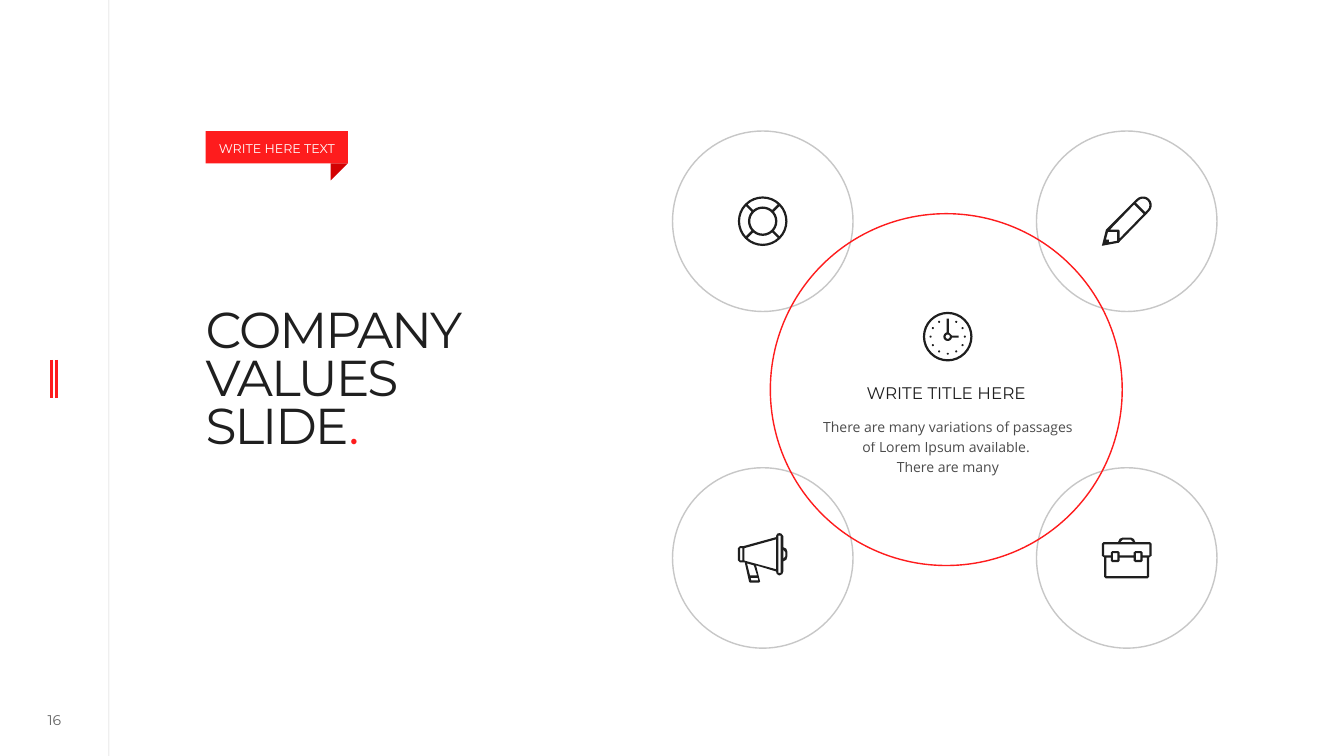
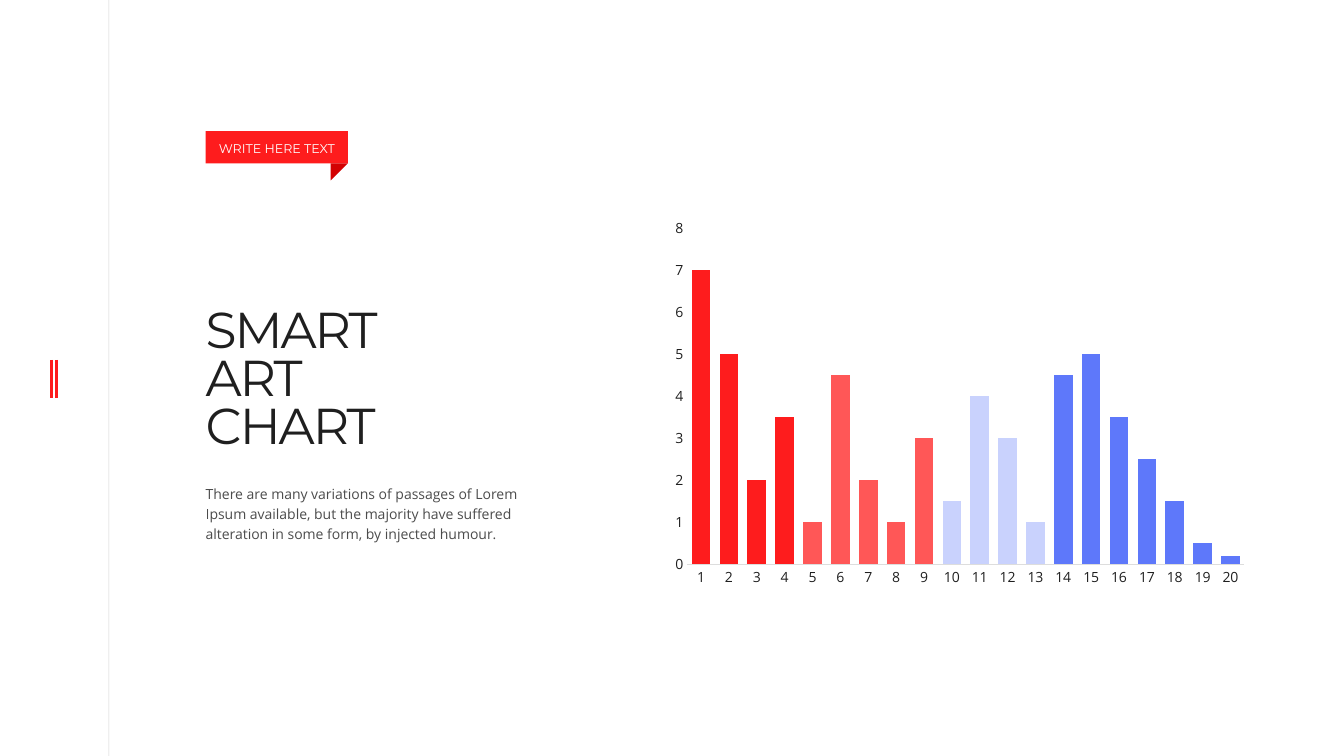
from math import cos, radians, sin

from lxml import etree
from pptx import Presentation
from pptx.chart.data import CategoryChartData
from pptx.dml.color import RGBColor
from pptx.enum.chart import XL_CHART_TYPE, XL_TICK_MARK
from pptx.enum.shapes import MSO_CONNECTOR, MSO_SHAPE
from pptx.enum.text import MSO_ANCHOR, PP_ALIGN
from pptx.oxml.ns import qn
from pptx.util import Inches, Pt

RECT, OVAL, CORNER = MSO_SHAPE.RECTANGLE, MSO_SHAPE.OVAL, MSO_SHAPE.RIGHT_TRIANGLE
LEFT, CENTER = PP_ALIGN.LEFT, PP_ALIGN.CENTER
TOP, MIDDLE = MSO_ANCHOR.TOP, MSO_ANCHOR.MIDDLE
STRAIGHT, NO_TICK = MSO_CONNECTOR.STRAIGHT, XL_TICK_MARK.NONE

COLORS = {
    "ink": "1F1F1F", "red": "FE1C1D", "fold": "D30102", "ring": "C7C7C7",
    "white": "FFFFFF", "axis": "DDDDDD", "coral": "FF5757",
    "pale blue": "C9D2FD", "blue": "5E78FA",
}
HEADING, BODY = "Montserrat", "Open Sans"

# Content
TAG = "WRITE HERE TEXT"
VALUES_TITLE = "COMPANY\nVALUES\nSLIDE"
VALUES_NUMBER = "16"
CENTER_TITLE = "WRITE TITLE HERE"
CENTER_TEXT = [
    "There are many variations of passages of Lorem Ipsum available. ",
    "There are many",
]
CHART_TITLE = "SMART\nART\nCHART"
CHART_TEXT = ("There are many variations of passages of Lorem Ipsum available, "
              "but the majority have suffered alteration in some form, "
              "by injected humour.")
BAR_GROUPS = [
    ("red", [7, 5, 2, 3.5]),
    ("coral", [1, 4.5, 2, 1, 3]),
    ("pale blue", [1.5, 4, 3, 1]),
    ("blue", [4.5, 5, 3.5, 2.5, 1.5, 0.5, 0.2]),
]

# Icons: closed contours in hundredths of an inch; inner contours cut holes
MID = 24.6


def arc(radius, start, end, steps, center=(MID, MID)):
    turns = [radians(start + (end - start) * i / steps) for i in range(steps + 1)]
    return [(center[0] + radius * cos(t), center[1] + radius * sin(t)) for t in turns]


def circle(radius, steps=32, center=(MID, MID)):
    return arc(radius, 0, 360, steps, center)[:-1]


def mirrored(points):
    return points + [(2 * MID - x, y) for x, y in reversed(points)]


LIFEBUOY = [circle(24.6), circle(12.3)] + [
    arc(22.4, side + 3, side + 87, 8) + arc(14.6, side + 85.5, side + 4.5, 6)
    for side in (45, 135, 225, 315)]
CAP = (40.7, 8.7)
PENCIL = [
    arc(8.7, -135, 45, 10, CAP) + [(16.5, 46), (0, 49), (4, 33)],
    arc(6.5, -135, 45, 8, CAP) + [(43, 15.7), (33.7, 6.4)],
    [(17.5, 41.8), (17.5, 34), (16.5, 33), (8, 33), (32, 8), (41.4, 17.4)],
    [(15.2, 44), (7, 45.5), (7, 43), (4, 43), (6, 35.2), (15.2, 35.2)],
]
MEGAPHONE = [
    [(45, 14), (45, 3), (43, 0.4), (41, 0), (39, 0.6), (37.8, 3), (37.8, 4),
     (5, 13), (2, 13), (0, 15), (0, 27), (2, 29), (6.8, 29), (11, 48), (12, 49),
     (21, 49), (22, 48), (18, 32), (37.8, 38), (38.5, 40.5), (41, 42),
     (44, 40.7), (45, 38), (45, 28), (48, 26.5), (49, 23), (49, 18.5), (48, 15.5)],
    [(45, 25.5), (47, 23), (47, 19), (45, 16.2)],
    [(42.3, 39.5), (40, 39.5), (40, 2.5), (42.3, 2.5)],
    [(37.8, 35.8), (6.5, 27.3), (6.5, 14.9), (37.8, 6.2)],
    [(19, 42), (12, 42), (9, 30), (15.8, 32)],
    [(20.2, 46.8), (13.2, 46.8), (12.6, 44.3), (19.6, 44.3)],
    [(4.3, 27), (2.2, 27), (2.2, 15), (4.3, 15)],
]
CLASP = [(11, 20), (15.5, 20), (15.5, 26.7), (11, 26.7)]
BRIEFCASE = [
    mirrored([(20.5, 4.4), (17.5, 5.8), (16, 9), (1.5, 9), (0, 10.5), (0, 22.5),
              (2.3, 24.2), (2.3, 43.3), (3.8, 44.8)]),
    mirrored([(20.5, 6.6), (18.2, 9)]),
    mirrored([(2.2, 11.2), (2.2, 22.2), (8.8, 22.2), (8.8, 19.3), (10.3, 17.8),
              (16, 17.8), (17.7, 19.3), (17.7, 22.2)]),
    mirrored([(4.5, 42.6), (4.5, 24.4), (8.8, 24.4), (8.8, 27.4), (10.3, 28.9),
              (16, 28.9), (17.7, 27.4), (17.7, 24.4)]),
    CLASP, [(2 * MID - x, y) for x, y in CLASP],
]
# The hour hand covers the mark at twelve
HANDS = [(23.5, 6.8), (25.7, 6.8), (25.7, 20.5), (28.7, 23.5), (35.5, 23.5),
         (35.5, 25.7), (28.7, 25.7)] + arc(4.3, 20, 255, 12)
CLOCK = [circle(24.6), circle(22.4), HANDS, circle(2.2, 10)] + [
    circle(1.1, 6, mark) for mark in arc(17, -60, 240, 10)]

SMALL, LARGE = 1.79, 3.49
RING_LEFTS, RING_TOPS = (6.67, 10.28), (1.3, 4.64)
RING_ICONS = [(LIFEBUOY, PENCIL), (MEGAPHONE, BRIEFCASE)]


def paint(color, name, opacity=100):
    color.rgb = RGBColor.from_string(COLORS[name])
    return opacity


def fade(element, opacity):
    """Make the solid colours inside an element partly transparent."""
    if opacity < 100:
        for value in element.iter(qn("a:srgbClr")):
            etree.SubElement(value, qn("a:alpha")).set("val", str(opacity * 1000))


def style(shape, fill=None, line=None):
    shape.shadow.inherit = False
    if fill:
        shape.fill.solid()
        paint(shape.fill.fore_color, fill)
    else:
        shape.fill.background()
    if line:
        paint(shape.line.color, line)
        shape.line.width = Pt(1)
    else:
        shape.line.fill.background()


def add_shape(slide, preset, box, **look):
    shape = slide.shapes.add_shape(preset, *map(Inches, box))
    style(shape, **look)
    return shape


def add_line(slide, start, end, color, width, opacity=100):
    line = slide.shapes.add_connector(STRAIGHT, *map(Inches, start + end))
    paint(line.line.color, color)
    line.line.width = Pt(width)
    fade(line._element.spPr, opacity)
    etree.SubElement(line._element.spPr, qn("a:effectLst"))


def set_font(font, name, size, color, opacity=100):
    font.name, font.size = name, Pt(size)
    paint(font.color, color)
    fade(font._element, opacity)


def fill_text(shape, texts, *font, align=LEFT, spacing=None,
              top=0.05, bottom=0.05, anchor=TOP):
    frame = shape.text_frame
    frame.word_wrap = True
    frame.vertical_anchor = anchor
    frame.margin_left = frame.margin_right = 0
    frame.margin_top, frame.margin_bottom = Inches(top), Inches(bottom)
    for index, text in enumerate(texts):
        paragraph = frame.add_paragraph() if index else frame.paragraphs[0]
        paragraph.text = text
        paragraph.alignment = align
        paragraph.line_spacing = spacing
        set_font(paragraph.font, *font)
    return frame


def add_text(slide, box, texts, *font, **layout):
    return fill_text(slide.shapes.add_textbox(*map(Inches, box)), texts, *font, **layout)


def add_icon(slide, contours, center_x, center_y):
    left, top = (center - MID / 100 for center in (center_x, center_y))
    builder = None
    for contour in contours:
        points = [(Inches(left + x / 100), Inches(top + y / 100)) for x, y in contour]
        if builder is None:
            builder = slide.shapes.build_freeform(*points[0])
        else:
            builder.move_to(*points[0])
        builder.add_line_segments(points[1:], close=True)
    style(builder.convert_to_shape(), fill="ink")


def add_base(prs, title, stop=None):
    """Blank slide with the side rule, red bars, tag and title."""
    slide = prs.slides.add_slide(prs.slide_layouts[6])
    add_line(slide, (1.08, 0), (1.08, 7.5), "ink", 0.5, 20)
    for x in (0.51, 0.56):
        add_line(slide, (x, 3.57), (x, 3.95), "red", 2)
    frame = add_text(slide, (2.04, 2.86, 4.62, 1.77), [title], HEADING, 36, "ink",
                     spacing=0.8, top=0.21, bottom=0)
    heading = frame.paragraphs[0]
    if stop:
        run = heading.add_run()
        run.text = stop
        paint(run.font.color, "red")
    for run in heading.runs:
        run.font._element.set("spc", "-150")
    tag = add_shape(slide, RECT, (2.04, 1.3, 1.41, 0.32), fill="red")
    fill_text(tag, [TAG], HEADING, 9, "white", align=CENTER, top=0.07, anchor=MIDDLE)
    add_shape(slide, CORNER, (3.28, 1.62, 0.17, 0.17), fill="fold").rotation = 90
    return slide


def build_values(prs):
    slide = add_base(prs, VALUES_TITLE, stop=".")
    add_text(slide, (0.26, 7.02, 0.56, 0.25), [VALUES_NUMBER], HEADING, 10, "ink", 70,
             align=CENTER, top=0, bottom=0, anchor=MIDDLE)
    # Four outer rings with icons
    for top, icons in zip(RING_TOPS, RING_ICONS):
        for left, icon in zip(RING_LEFTS, icons):
            add_shape(slide, OVAL, (left, top, SMALL, SMALL), line="ring")
            add_icon(slide, icon, left + SMALL / 2, top + SMALL / 2)
    # Central ring
    add_text(slide, (8.07, 3.8, 2.63, 0.26), [CENTER_TITLE], HEADING, 12, "ink",
             align=CENTER, spacing=0.7)
    add_icon(slide, CLOCK, 9.4, 3.34)
    add_text(slide, (8.09, 4.07, 2.62, 0.69), CENTER_TEXT, BODY, 10, "ink", 80,
             align=CENTER, spacing=1.2)
    add_shape(slide, OVAL, (7.64, 2.12, LARGE, LARGE), line="red")


def build_chart(prs):
    slide = add_base(prs, CHART_TITLE)
    add_text(slide, (2.04, 4.73, 3.4, 0.71), [CHART_TEXT], BODY, 10, "ink", 80,
             spacing=1.2)
    bars = [(color, value) for color, values in BAR_GROUPS for value in values]
    data = CategoryChartData()
    data.categories = [str(number) for number in range(1, len(bars) + 1)]
    data.add_series("Series 1", [value for _, value in bars])
    chart = slide.shapes.add_chart(
        XL_CHART_TYPE.COLUMN_CLUSTERED,
        *map(Inches, (6.58, 2.09, 5.88, 3.81)), data).chart
    chart.has_legend = chart.has_title = False
    set_font(chart.font, BODY, 10, "ink")
    plot = chart.plots[0]
    plot.gap_width, plot.overlap = 50, -27
    plot.vary_by_categories = False
    for index, (color, _) in enumerate(bars):
        fill = plot.series[0].points[index].format.fill
        fill.solid()
        paint(fill.fore_color, color)
    # Axes
    numbers, heights = chart.category_axis, chart.value_axis
    for axis in (numbers, heights):
        axis.has_major_gridlines = False
        axis.major_tick_mark = axis.minor_tick_mark = NO_TICK
        set_font(axis.tick_labels.font, BODY, 10, "ink")
    paint(numbers.format.line.color, "axis")
    numbers.format.line.width = Pt(0.75)
    heights.format.line.fill.background()
    heights.minimum_scale, heights.maximum_scale, heights.major_unit = 0, 8, 1


def main():
    prs = Presentation()
    prs.slide_width, prs.slide_height = Inches(13.33), Inches(7.5)
    build_values(prs)
    build_chart(prs)
    prs.save("out.pptx")


if __name__ == "__main__":
    main()
